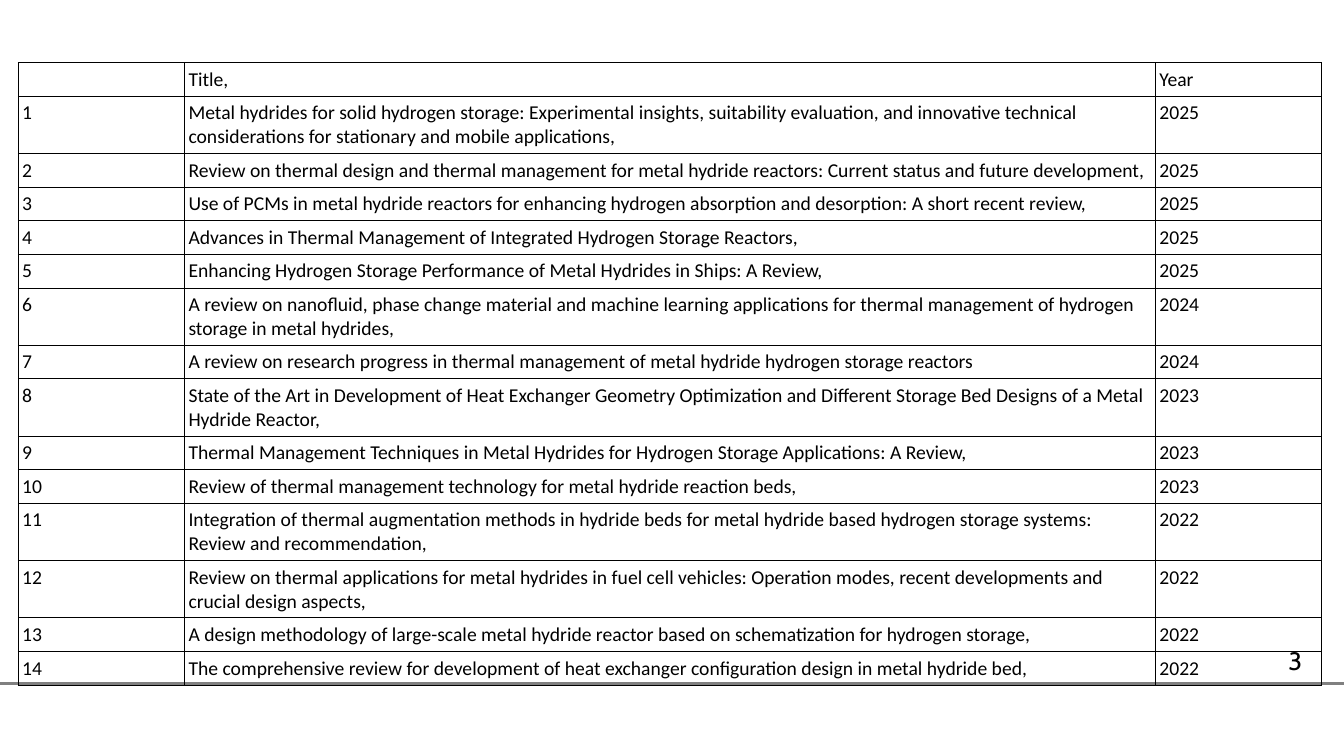
from lxml.etree import SubElement
from pptx import Presentation
from pptx.dml.color import RGBColor
from pptx.enum.shapes import MSO_CONNECTOR
from pptx.oxml.ns import qn
from pptx.util import Inches, Pt

BLACK = RGBColor(0x00, 0x00, 0x00)
GREY = RGBColor(0x80, 0x80, 0x80)

WRAP_LENGTH = 120
SINGLE_ROW, DOUBLE_ROW = 4.27, 7.33
COLUMN_WIDTHS = [12.38, 72.24, 12.38]

REVIEWS = [
    ("Metal hydrides for solid hydrogen storage: Experimental insights, suitability evaluation, "
     "and innovative technical considerations for stationary and mobile applications,", 2025),
    ("Review on thermal design and thermal management for metal hydride reactors: "
     "Current status and future development,", 2025),
    ("Use of PCMs in metal hydride reactors for enhancing hydrogen absorption and desorption: "
     "A short recent review,", 2025),
    ("Advances in Thermal Management of Integrated Hydrogen Storage Reactors,", 2025),
    ("Enhancing Hydrogen Storage Performance of Metal Hydrides in Ships: A Review,", 2025),
    ("A review on nanofluid, phase change material and machine learning applications "
     "for thermal management of hydrogen storage in metal hydrides,", 2024),
    ("A review on research progress in thermal management of metal hydride "
     "hydrogen storage reactors", 2024),
    ("State of the Art in Development of Heat Exchanger Geometry Optimization and "
     "Different Storage Bed Designs of a Metal Hydride Reactor,", 2023),
    ("Thermal Management Techniques in Metal Hydrides for Hydrogen Storage Applications: "
     "A Review,", 2023),
    ("Review of thermal management technology for metal hydride reaction beds,", 2023),
    ("Integration of thermal augmentation methods in hydride beds for metal hydride based "
     "hydrogen storage systems: Review and recommendation,", 2022),
    ("Review on thermal applications for metal hydrides in fuel cell vehicles: "
     "Operation modes, recent developments and crucial design aspects,", 2022),
    ("A design methodology of large-scale metal hydride reactor based on schematization "
     "for hydrogen storage,", 2022),
    ("The comprehensive review for development of heat exchanger configuration design "
     "in metal hydride bed,", 2022),
]


class PageBuilder:
    table_font = "Calibri"
    number_font = "Cabin"

    def __init__(self, deck):
        self.deck = deck
        self.page = deck.slides.add_slide(deck.slide_layouts[6])

    def across(self, percent):
        return round(self.deck.slide_width * percent / 100)

    def down(self, percent):
        return round(self.deck.slide_height * percent / 100)

    def style_text(self, para, font_name, size):
        for span in para.runs:
            span.font.name = font_name
            span.font.size = Pt(size)
            span.font.bold = False
            span.font.color.rgb = BLACK
        SubElement(para._p, qn("a:endParaRPr"), sz=str(size * 100))

    def rule(self, top):
        line = self.page.shapes.add_connector(
            MSO_CONNECTOR.STRAIGHT, 0, self.down(top), self.across(100), self.down(top))
        line.line.color.rgb = GREY
        line.line.width = Pt(2)
        SubElement(line._element.spPr, qn("a:effectLst"))

    def page_number(self, text, left, top, width, height):
        box = self.page.shapes.add_textbox(
            self.across(left), self.down(top), self.across(width), self.down(height))
        box.text_frame.word_wrap = True
        box.text_frame.text = text
        self.style_text(box.text_frame.paragraphs[0], self.number_font, 18)

    def border(self, cell):
        properties = cell._tc.get_or_add_tcPr()
        for position, side in enumerate(("lnL", "lnR", "lnT", "lnB")):
            edge = SubElement(properties, qn(f"a:{side}"), w=str(Pt(0.57)))
            fill = SubElement(edge, qn("a:solidFill"))
            SubElement(fill, qn("a:srgbClr"), val=str(BLACK))
            properties.insert(position, edge)

    def fill_cell(self, cell, text):
        cell.fill.background()
        cell.margin_left = cell.margin_right = Inches(0.04)
        cell.margin_top = cell.margin_bottom = Inches(0.05)
        cell.text_frame.text = text
        self.style_text(cell.text_frame.paragraphs[0], self.table_font, 14)
        self.border(cell)

    def table(self, records, left, top):
        heights = [DOUBLE_ROW if len(record[1]) > WRAP_LENGTH else SINGLE_ROW
                   for record in records]
        grid = self.page.shapes.add_table(
            len(records), len(COLUMN_WIDTHS), self.across(left), self.down(top),
            self.across(sum(COLUMN_WIDTHS)), self.down(sum(heights))).table
        grid.first_row = False
        grid.horz_banding = False
        for column, width in zip(grid.columns, COLUMN_WIDTHS):
            column.width = self.across(width)
        for row, height, record in zip(grid.rows, heights, records):
            row.height = self.down(height)
            for cell, text in zip(row.cells, record):
                self.fill_cell(cell, text)


def main():
    deck = Presentation()
    deck.slide_width = Inches(13.33)
    deck.slide_height = Inches(7.5)
    builder = PageBuilder(deck)
    builder.rule(90.4)
    builder.page_number("3", 95.12, 84.67, 4.88, 5.87)
    records = [("", "Title,", "Year")]
    records += [(str(number), title, str(year))
                for number, (title, year) in enumerate(REVIEWS, 1)]
    builder.table(records, 1.35, 8.27)
    deck.save("out.pptx")


if __name__ == "__main__":
    main()
